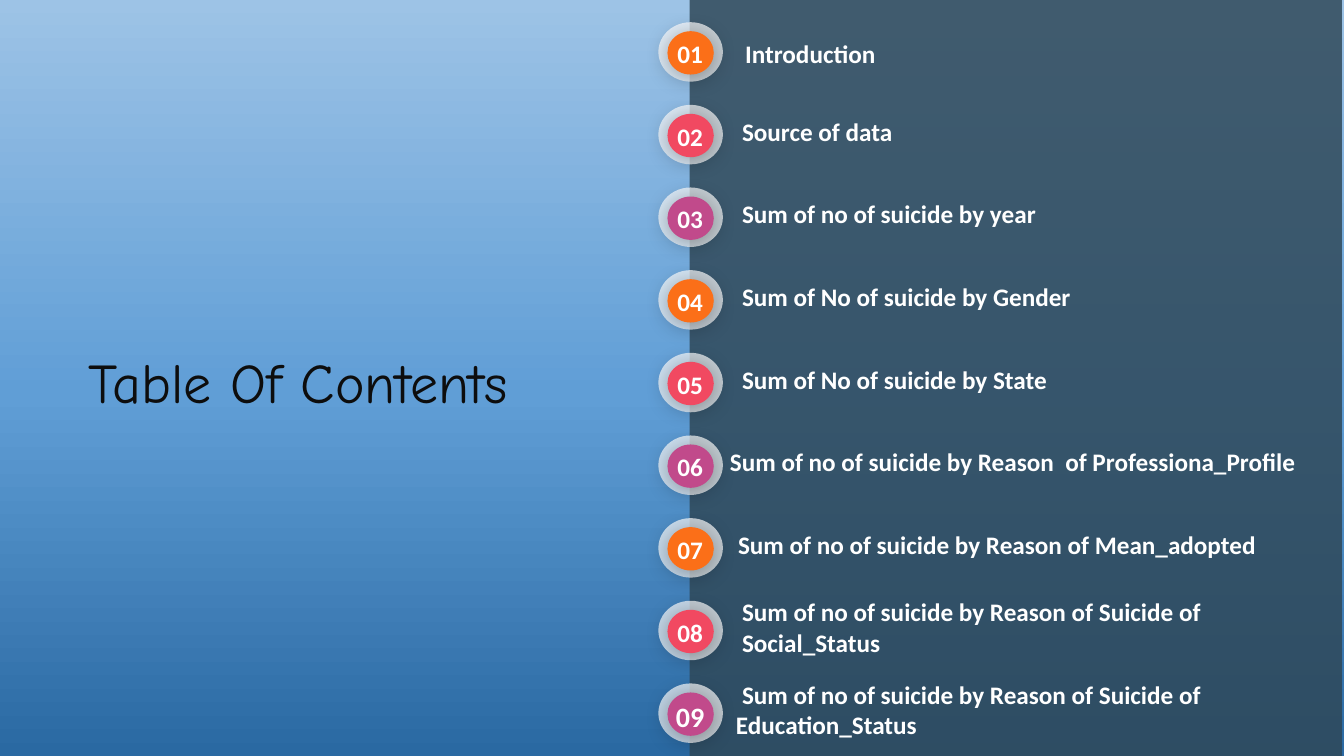
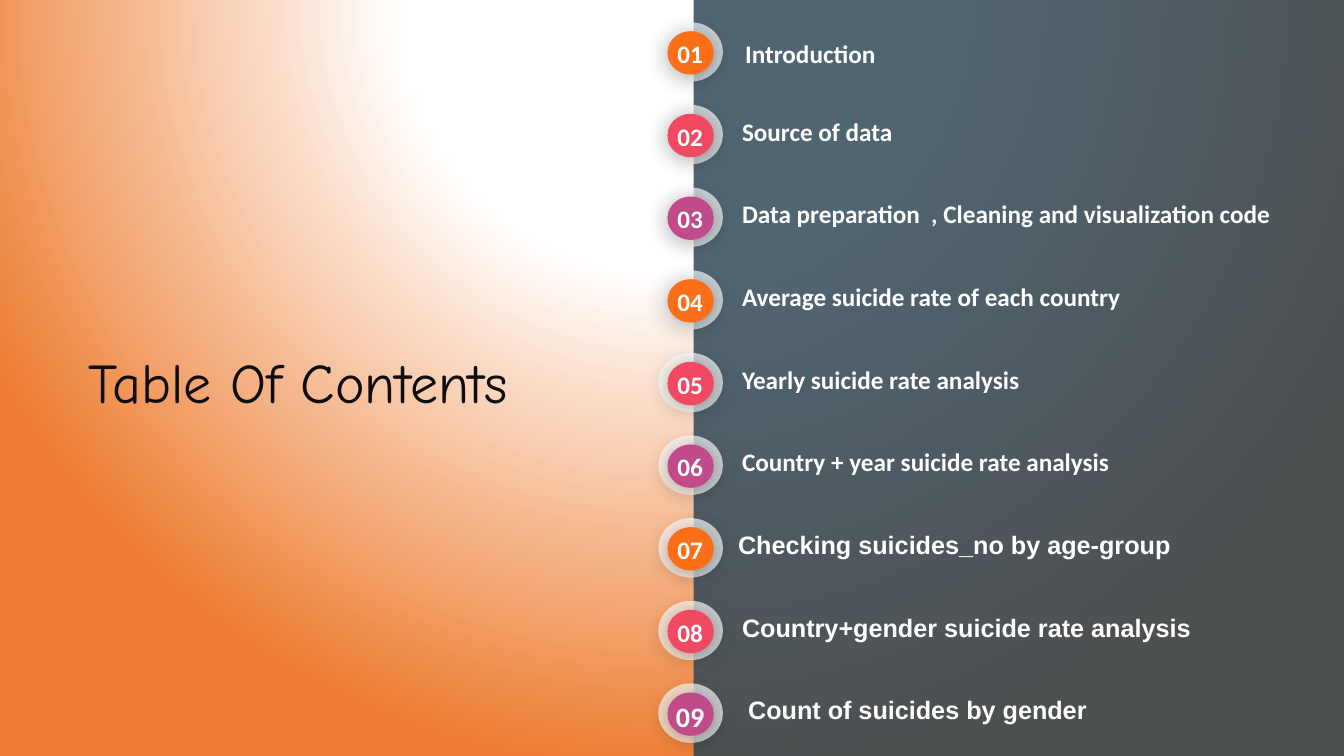
from dataclasses import dataclass
from itertools import cycle

from pptx import Presentation
from pptx import oxml
from pptx import util as u
from pptx.dml.color import RGBColor
from pptx.enum import shapes, text
from pptx.oxml import ns

# Shared measures: 100 px to the inch
PX = 9144
ROW_TOP, ROW_PITCH = 22, 82
LABEL_X = 736

# Shared colours and fonts
WHITE, INK, PANEL = "FFFFFF", "0D0D0D", "2F4858"
BADGE_COLOURS = ("FB6F18", "F14961", "C14A8B")
BODY_FONT, ALT_FONT, TITLE_FONT = "Calibri", "Arial", "Comic Neue"


@dataclass(frozen=True)
class Entry:
    label: str
    x: int = LABEL_X
    font: str = BODY_FONT
    drop: int = 0
    indent: int = 0


@dataclass(frozen=True)
class Contents:
    stops: tuple[tuple[int, str], ...]
    direction: str
    panel_x: int
    entries: tuple[Entry, ...]


INTRODUCTION = Entry("Introduction", x=739, drop=5)
SOURCE_OF_DATA = Entry("Source of data")

CONTENTS = (
    Contents(
        stops=((0, "2A69A2"), (48, "609ED6"), (100, "9DC3E6")),
        direction='<a:lin ang="16200000" scaled="0"/>',
        panel_x=684,
        entries=(
            INTRODUCTION,
            SOURCE_OF_DATA,
            Entry("Sum of no of suicide by year"),
            Entry("Sum of No of suicide by Gender"),
            Entry("Sum of No of suicide by State"),
            Entry("Sum of no of suicide by Reason  of Professiona_Profile", x=724),
            Entry("Sum of no of suicide by Reason of Mean_adopted", x=732),
            Entry("Sum of no of suicide by Reason of Suicide of Social_Status"),
            Entry("Sum of no of suicide by Reason of Suicide of Education_Status",
                  x=730, indent=6),
        ),
    ),
    Contents(
        stops=((0, "FFFFFF"), (35, "FFFFFF"), (100, "ED7D31")),
        direction='<a:path path="circle"><a:fillToRect l="50000" t="-80000" '
                  'r="50000" b="180000"/></a:path>',
        panel_x=688,
        entries=(
            INTRODUCTION,
            SOURCE_OF_DATA,
            Entry("Data preparation  , Cleaning and visualization code"),
            Entry("Average suicide rate of each country"),
            Entry("Yearly suicide rate analysis"),
            Entry("Country + year suicide rate analysis"),
            Entry("Checking suicides_no by age-group", x=732, font=ALT_FONT),
            Entry("Country+gender suicide rate analysis", font=ALT_FONT),
            Entry("Count of suicides by gender", x=742, font=ALT_FONT),
        ),
    ),
)


def colour(value: str) -> RGBColor:
    return RGBColor.from_string(value)


def px(*lengths: int) -> list[int]:
    return [length * PX for length in lengths]


def drawing(markup: str):
    """Turn DrawingML markup into an element."""
    head, rest = markup.split(" ", 1)
    return oxml.parse_xml(f"{head} {ns.nsdecls('a')} {rest}")


def paint_background(slide, contents: Contents) -> None:
    slide.background.fill.gradient()
    plain = slide.element.xpath(".//p:bgPr/a:gradFill")[0]
    stops = "".join(
        f'<a:gs pos="{position * 1000}"><a:srgbClr val="{value}"/></a:gs>'
        for position, value in contents.stops
    )
    plain.getparent().replace(plain, drawing(
        f'<a:gradFill rotWithShape="1"><a:gsLst>{stops}</a:gsLst>'
        f"{contents.direction}</a:gradFill>"
    ))


def add_filled(parent, kind, box: tuple[int, int, int, int], fill: str, alpha: int = 100):
    shape = parent.add_shape(kind, *px(*box))
    shape.shadow.inherit = False
    shape.fill.solid()
    shape.fill.fore_color.rgb = colour(fill)
    shape.line.fill.background()
    if alpha < 100:
        tint = shape.element.spPr.find(ns.qn("a:solidFill"))[0]
        tint.append(drawing(f'<a:alpha val="{alpha * 1000}"/>'))
    return shape


def add_soft_shadow(shape) -> None:
    shape.element.spPr.find(ns.qn("a:effectLst")).append(drawing(
        f'<a:outerShdw blurRad="{u.Pt(17)}" dist="{u.Pt(2)}" dir="5400000" algn="t" '
        'rotWithShape="0"><a:srgbClr val="000000"><a:alpha val="35000"/>'
        "</a:srgbClr></a:outerShdw>"
    ))


def write(paragraph, words: str, size: int, font: str, value: str, bold: bool) -> None:
    run = paragraph.add_run()
    run.text = words
    run.font.size = u.Pt(size)
    run.font.name = font
    run.font.bold = bold
    run.font.color.rgb = colour(value)


def add_text(parent, box: tuple[int, int, int, int], words: str, size: int = 18,
             font: str = BODY_FONT, align=text.PP_ALIGN.LEFT):
    frame = parent.add_textbox(*px(*box)).text_frame
    frame.word_wrap = True
    frame.vertical_anchor = text.MSO_ANCHOR.MIDDLE
    frame.margin_left = frame.margin_right = 0
    frame.margin_top = frame.margin_bottom = 0
    paragraph = frame.paragraphs[0]
    paragraph.alignment = align
    write(paragraph, words, size, font, WHITE, True)
    return paragraph


def set_title(slide, words: str) -> None:
    title = slide.shapes.title
    title.left, title.top, title.width, title.height = px(36, 340, 520, 77)
    frame = title.text_frame
    frame.word_wrap = True
    frame.auto_size = text.MSO_AUTO_SIZE.SHAPE_TO_FIT_TEXT
    frame.vertical_anchor = text.MSO_ANCHOR.TOP
    paragraph = frame.paragraphs[0]
    paragraph.alignment = text.PP_ALIGN.CENTER
    write(paragraph, words, 40, TITLE_FONT, INK, False)


def add_entry(slide, number: int, entry: Entry, badge_colour: str, last: bool) -> None:
    top = ROW_TOP + (number - 1) * ROW_PITCH
    row = slide.shapes.add_group_shape().shapes
    oval = shapes.MSO_SHAPE.OVAL
    # Badge: ring, dot and number
    add_filled(row, oval, (653, top, 64, 59), WHITE, alpha=70)
    add_soft_shadow(add_filled(row, oval, (662, top + 9, 46, 43), badge_colour))
    add_text(row, (660, top + (13 if last else 11), 49, 40), f"{number:02}",
             size=20 if last else 18, align=text.PP_ALIGN.CENTER)
    # Label, centred on its row
    label = add_text(row, (entry.x, top - 4 + entry.drop, 583, 60), entry.label,
                     font=entry.font)
    if entry.indent:
        properties = label._p.get_or_add_pPr()
        properties.set("marL", "0")
        properties.set("indent", str(entry.indent * PX))


def build_contents(deck, contents: Contents) -> None:
    slide = deck.slides.add_slide(deck.slide_layouts.get_by_name("Title Only"))
    paint_background(slide, contents)
    set_title(slide, "Table Of Contents")
    add_filled(slide.shapes, shapes.MSO_SHAPE.RECTANGLE,
               (contents.panel_x, 0, 647, 750), PANEL, alpha=84)
    numbered = enumerate(zip(contents.entries, cycle(BADGE_COLOURS)), start=1)
    for number, (entry, badge_colour) in numbered:
        add_entry(slide, number, entry, badge_colour, number == len(contents.entries))


def main() -> None:
    deck = Presentation()
    deck.slide_width, deck.slide_height = u.Inches(13.33), u.Inches(7.5)
    for contents in CONTENTS:
        build_contents(deck, contents)
    deck.save("out.pptx")


if __name__ == "__main__":
    main()
